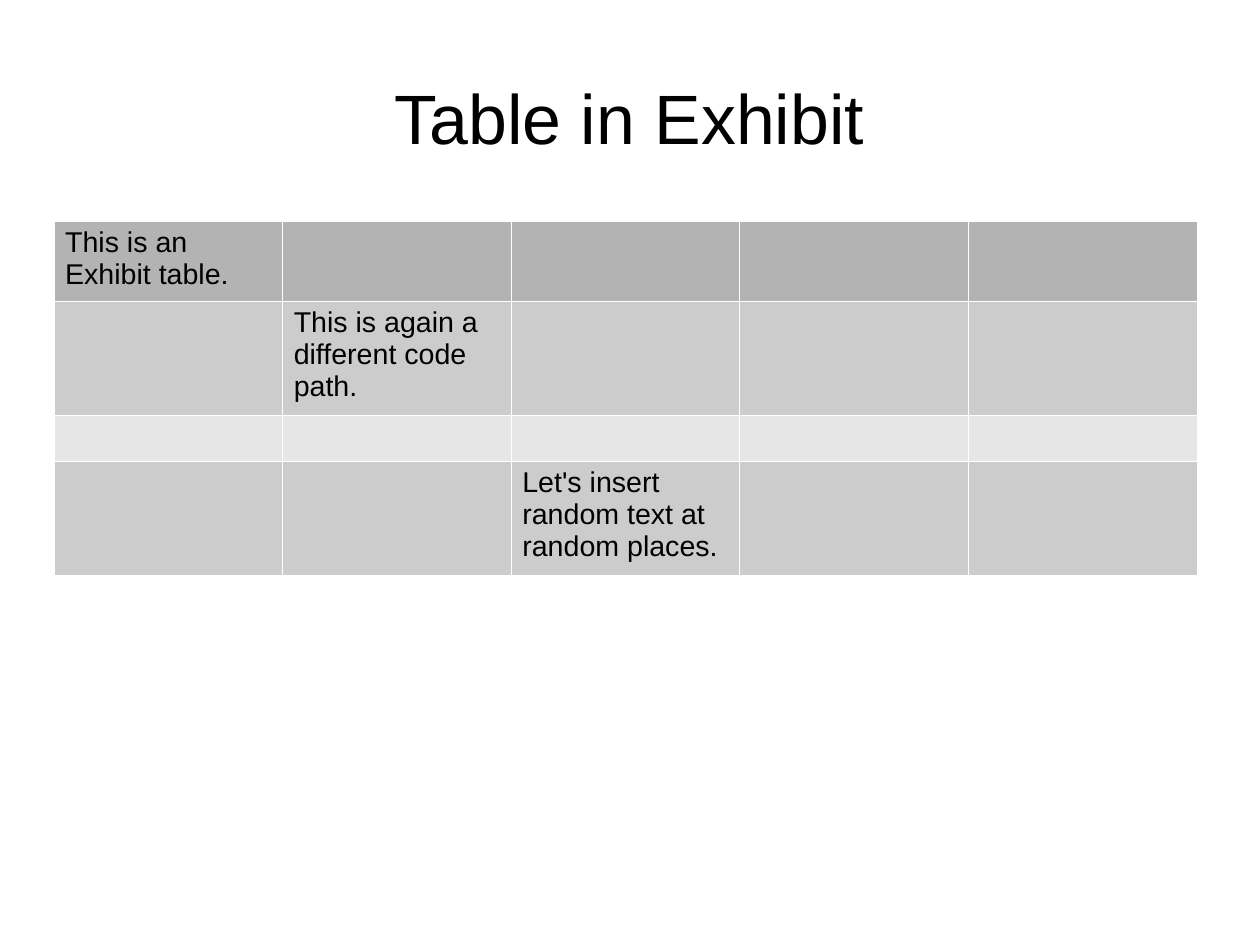
from lxml.etree import SubElement
from pptx import Presentation
from pptx.dml.color import RGBColor
from pptx.enum.text import MSO_ANCHOR, PP_ALIGN
from pptx.oxml.ns import qn
from pptx.util import Cm, Inches, Pt

# Content
TITLE = "Table in Exhibit"
CELL_TEXTS = {
    (0, 0): "This is an Exhibit table.",
    (1, 1): "This is again a different code path.",
    (3, 2): "Let's insert random text at random places.",
}
COLORS = {"text": "000000", "border": "FFFFFF", "header": "B3B3B3",
          "odd": "CCCCCC", "even": "E6E6E6"}
ROWS = [(0.7, "header"), (1.0, "odd"), (0.4, "even"), (1.0, "odd")]
COLUMN_COUNT = 5
COLUMN_WIDTH = 2
FONT = "Arial"
BORDER_WIDTH = Pt(0.06)


def style_paragraph(paragraph, size):
    paragraph.font.name = FONT
    paragraph.font.size = Pt(size)
    paragraph.font.color.rgb = RGBColor.from_string(COLORS["text"])


def add_borders(cell):
    properties = cell._tc.get_or_add_tcPr()
    for position, side in enumerate(("a:lnL", "a:lnR", "a:lnT", "a:lnB")):
        line = SubElement(properties, qn(side), w=str(BORDER_WIDTH))
        properties.insert(position, line)
        fill = SubElement(line, qn("a:solidFill"))
        SubElement(fill, qn("a:srgbClr"), val=COLORS["border"])


# Metric slide format, 28 by 21 cm
presentation = Presentation()
presentation.slide_width = Cm(28)
presentation.slide_height = Cm(21)
slide = presentation.slides.add_slide(presentation.slide_layouts[5])

# Title
title = slide.shapes.title
title.left, title.top = Inches(0.55), Inches(0.33)
title.width, title.height = Inches(9.92), Inches(1.38)
frame = title.text_frame
frame.margin_left = frame.margin_right = frame.margin_top = frame.margin_bottom = 0
frame.vertical_anchor = MSO_ANCHOR.MIDDLE
frame.text = TITLE
frame.paragraphs[0].alignment = PP_ALIGN.CENTER
style_paragraph(frame.paragraphs[0], 44)

# Table
table = slide.shapes.add_table(
    len(ROWS), COLUMN_COUNT, Inches(0.47), Inches(1.93),
    Inches(COLUMN_COUNT * COLUMN_WIDTH), Inches(sum(height for height, _ in ROWS)),
).table
for row_index, (height, color) in enumerate(ROWS):
    table.rows[row_index].height = Inches(height)
    for column_index in range(COLUMN_COUNT):
        cell = table.cell(row_index, column_index)
        cell.fill.solid()
        cell.fill.fore_color.rgb = RGBColor.from_string(COLORS[color])
        add_borders(cell)
        cell.text = CELL_TEXTS.get((row_index, column_index), "")
        style_paragraph(cell.text_frame.paragraphs[0], 18)

presentation.save("out.pptx")
